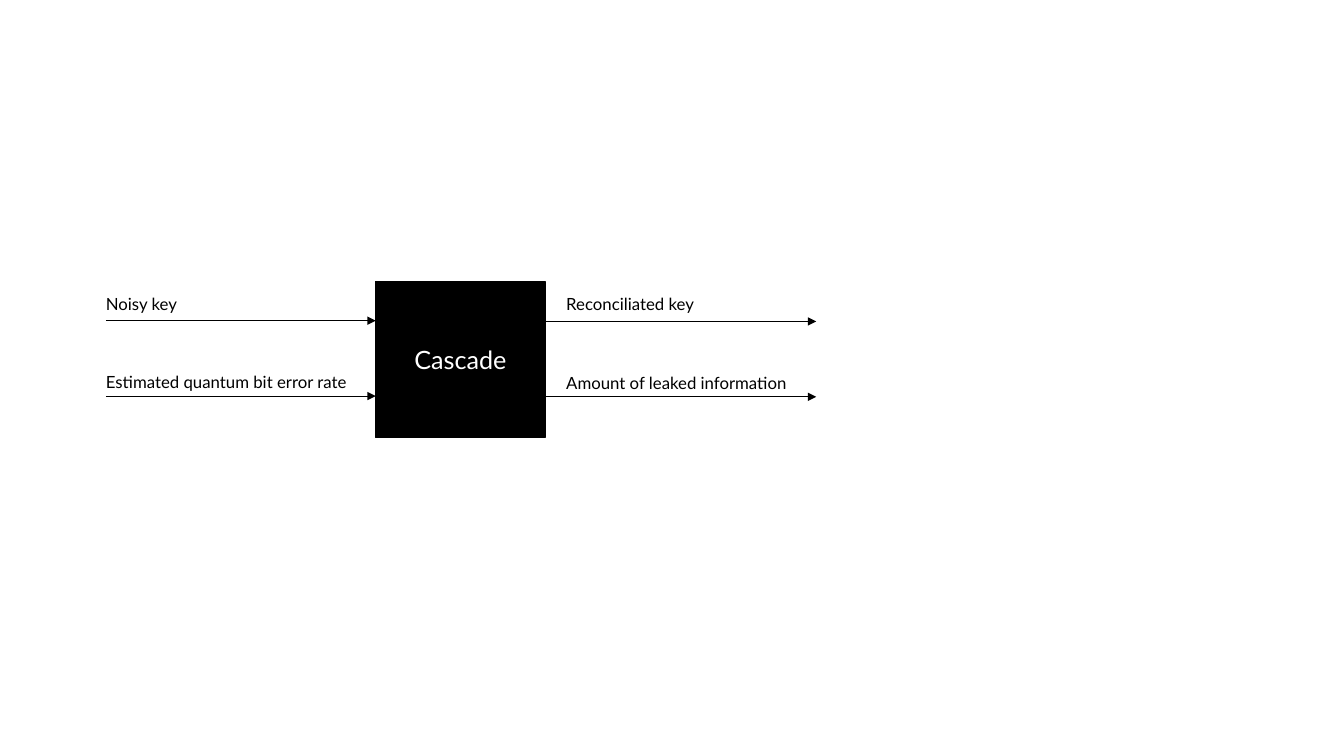
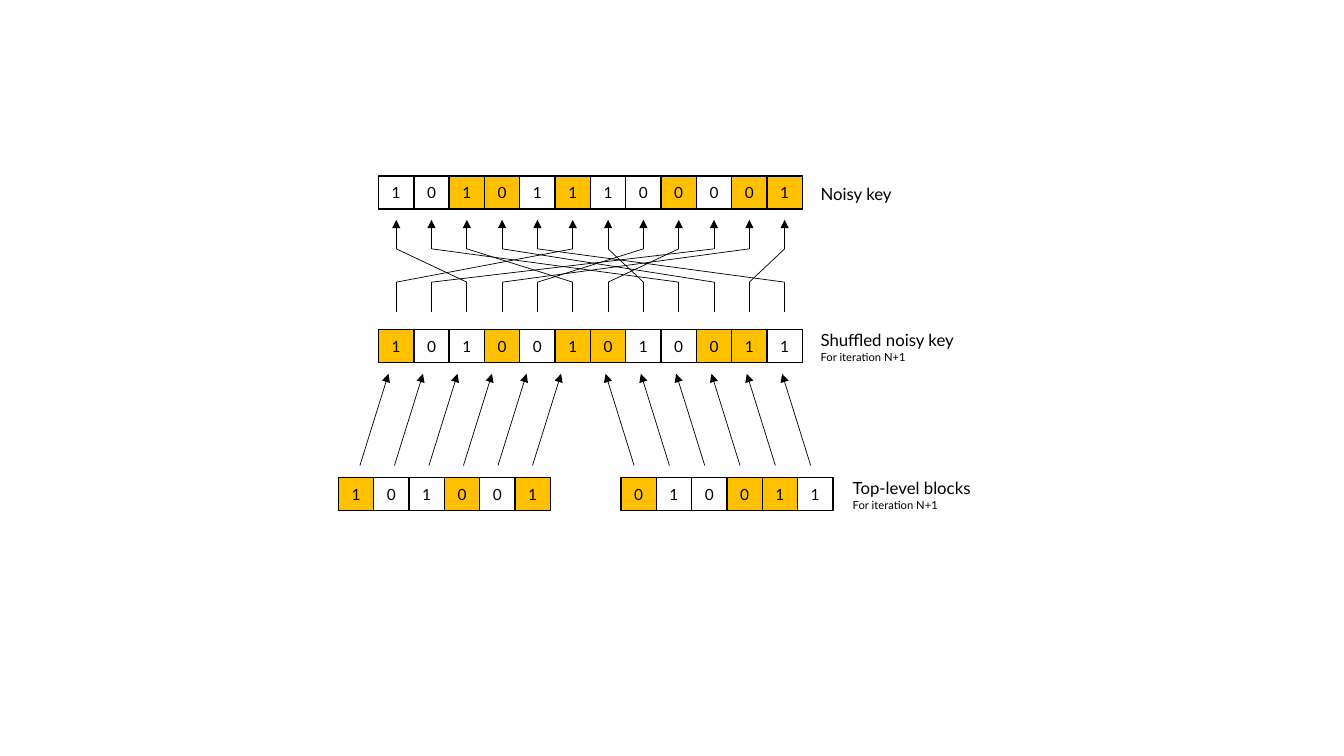
from dataclasses import dataclass

from lxml import etree
from pptx import Presentation
from pptx.dml.color import RGBColor
from pptx.enum import shapes as es, text as et
from pptx.oxml import ns
from pptx.util import Cm, Pt

BLACK = RGBColor(0x00, 0x00, 0x00)
WHITE = RGBColor(0xFF, 0xFF, 0xFF)
GOLD = RGBColor(0xFF, 0xC0, 0x00)
FONT = "Lato"
PITCH, TALL = 0.89, 0.83
NOTE = "For iteration N+1"
KEY_LEFT = 9.54
ORDER = (5, 9, 0, 10, 7, 2, 8, 6, 1, 3, 11, 4)


@dataclass(frozen=True)
class Label:
    left: float
    top: float
    width: float
    height: float
    text: str
    note: str = ""


@dataclass(frozen=True)
class Row:
    left: float
    top: float
    bits: str
    marks: str


@dataclass(frozen=True)
class Fan:
    left: float
    step: float
    shift: float


@dataclass(frozen=True)
class Flow:
    start: float
    end: float
    top: float


FLOWS = (
    Flow(2.67, 9.47, 8.08),
    Flow(2.67, 9.47, 9.98),
    Flow(13.74, 20.57, 8.1),
    Flow(13.74, 20.57, 10),
)
PORTS = (
    Label(2.67, 7.19, 6.65, 0.91, "Noisy key"),
    Label(2.67, 9.17, 6.65, 0.91, "Estimated quantum bit error rate"),
    Label(14.27, 7.21, 6.3, 0.91, "Reconciliated key"),
    Label(14.27, 9.19, 6.3, 0.91, "Amount of leaked information"),
)
ROWS = (
    Row(KEY_LEFT, 4.44, "101011100001", "..##.#..#.##"),
    Row(KEY_LEFT, 8.31, "101001010011", "#..#.##..##."),
    Row(8.53, 12.04, "101001", "#..#.#"),
    Row(15.65, 12.04, "010011", "#..##."),
)
NAMES = (
    Label(20.68, 4.27, 4.83, 1.22, "Noisy key"),
    Label(20.68, 8.13, 4.83, 1.22, "Shuffled noisy key", NOTE),
    Label(21.49, 11.86, 4.83, 1.22, "Top-level blocks", NOTE),
)
FANS = (Fan(9.07, 0.87, 0.72), Fan(15.98, 0.89, -0.72))


def write(shape, words: str, *, size: float = 12, color: RGBColor = BLACK,
          align=et.PP_ALIGN.LEFT, note: str = "") -> None:
    frame = shape.text_frame
    frame.word_wrap = True
    frame.vertical_anchor = et.MSO_ANCHOR.MIDDLE
    frame.margin_left = frame.margin_right = 0
    frame.margin_top = frame.margin_bottom = 0
    lines = [(words, size)] + ([(note, 8)] if note else [])
    for num, (line, points) in enumerate(lines):
        para = frame.add_paragraph() if num else frame.paragraphs[0]
        para.alignment = align
        run = para.add_run()
        run.text = line
        run.font.name = FONT
        run.font.size = Pt(points)
        run.font.color.rgb = color


def box(slide, left: float, top: float, width: float, height: float,
        words: str, *, fill: RGBColor | None = None, size: float = 11,
        color: RGBColor = BLACK) -> None:
    shape = slide.shapes.add_shape(
        es.MSO_SHAPE.RECTANGLE, Cm(left), Cm(top), Cm(width), Cm(height))
    shape.shadow.inherit = False
    if fill is None:
        shape.fill.background()
    else:
        shape.fill.solid()
        shape.fill.fore_color.rgb = fill
    shape.line.color.rgb = BLACK
    shape.line.width = Pt(1)
    write(shape, words, size=size, color=color, align=et.PP_ALIGN.CENTER)


def label(slide, item: Label) -> None:
    area = slide.shapes.add_textbox(
        Cm(item.left), Cm(item.top), Cm(item.width), Cm(item.height))
    write(area, item.text, note=item.note)


def link(slide, x1: float, y1: float, x2: float, y2: float, *,
         arrow: bool = False) -> None:
    line = slide.shapes.add_connector(
        es.MSO_CONNECTOR.STRAIGHT, Cm(x1), Cm(y1), Cm(x2), Cm(y2))
    line.line.color.rgb = BLACK
    line.line.width = Pt(0.5)
    if arrow:
        stroke = line.line._get_or_add_ln()
        etree.SubElement(stroke, ns.qn("a:tailEnd"), type="triangle")
    etree.SubElement(line._element.spPr, ns.qn("a:effectLst"))


def draw_box(slide) -> None:
    box(slide, 9.47, 7.09, 4.27, 3.94, "Cascade",
        fill=BLACK, size=18, color=WHITE)
    for flow in FLOWS:
        link(slide, flow.start, flow.top, flow.end, flow.top, arrow=True)
    for port in PORTS:
        label(slide, port)


def draw_row(slide, row: Row) -> None:
    for num, (bit, mark) in enumerate(zip(row.bits, row.marks)):
        box(slide, row.left + num * PITCH, row.top, PITCH, TALL, bit,
            fill=GOLD if mark == "#" else None)


def draw_mix(slide) -> None:
    mids = [KEY_LEFT + (num + 0.5) * PITCH for num in range(len(ORDER))]
    for mid, goal in zip(mids, ORDER):
        link(slide, mid, 6.27, mid, 5.54, arrow=True)
        link(slide, mid, 7.85, mid, 7.11)
        link(slide, mids[goal], 6.27, mid, 7.11)


def draw_fan(slide, fan: Fan) -> None:
    for num in range(6):
        left = fan.left + num * fan.step
        link(slide, left, 11.73, left + fan.shift, 9.42, arrow=True)


def draw_keys(slide) -> None:
    for row in ROWS:
        draw_row(slide, row)
    draw_mix(slide)
    for fan in FANS:
        draw_fan(slide, fan)
    for name in NAMES:
        label(slide, name)


def main() -> None:
    deck = Presentation()
    deck.slide_width, deck.slide_height = Cm(33.87), Cm(19.05)
    for draw in (draw_box, draw_keys):
        draw(deck.slides.add_slide(deck.slide_layouts[6]))
    deck.save("out.pptx")


if __name__ == "__main__":
    main()
